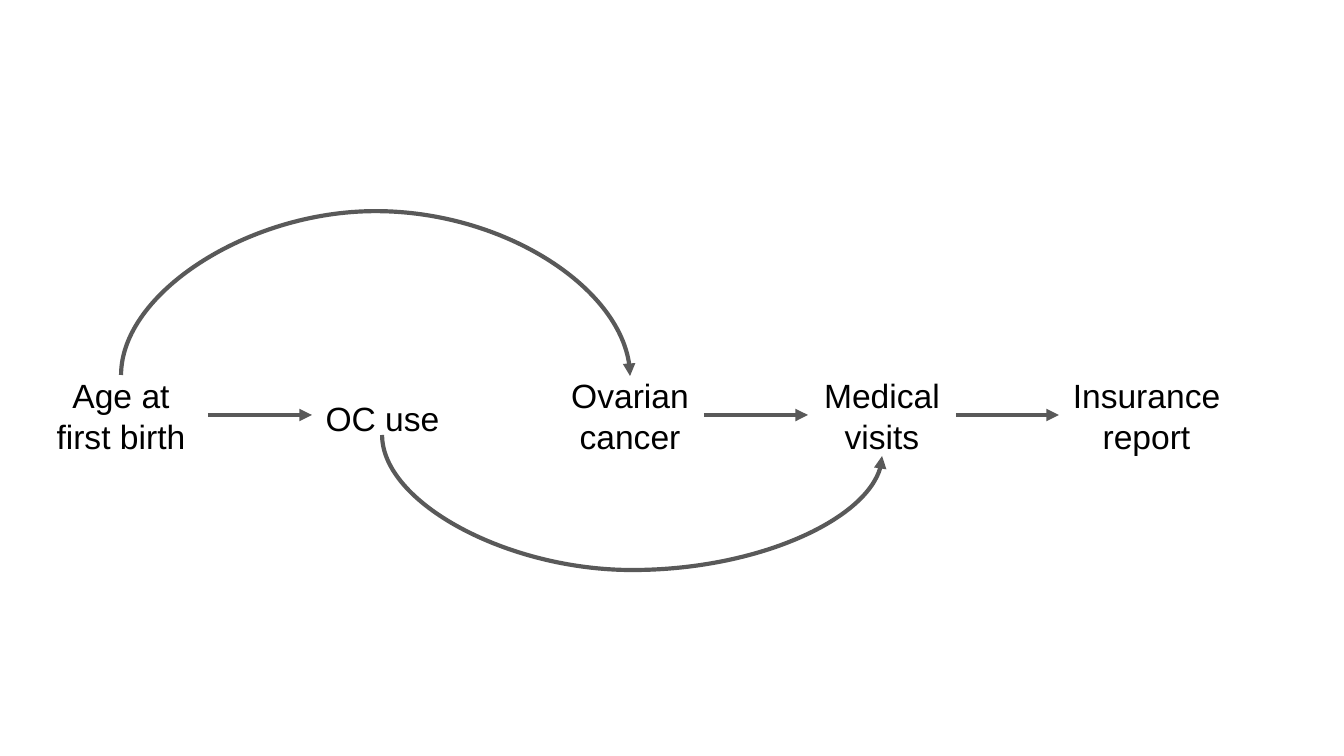
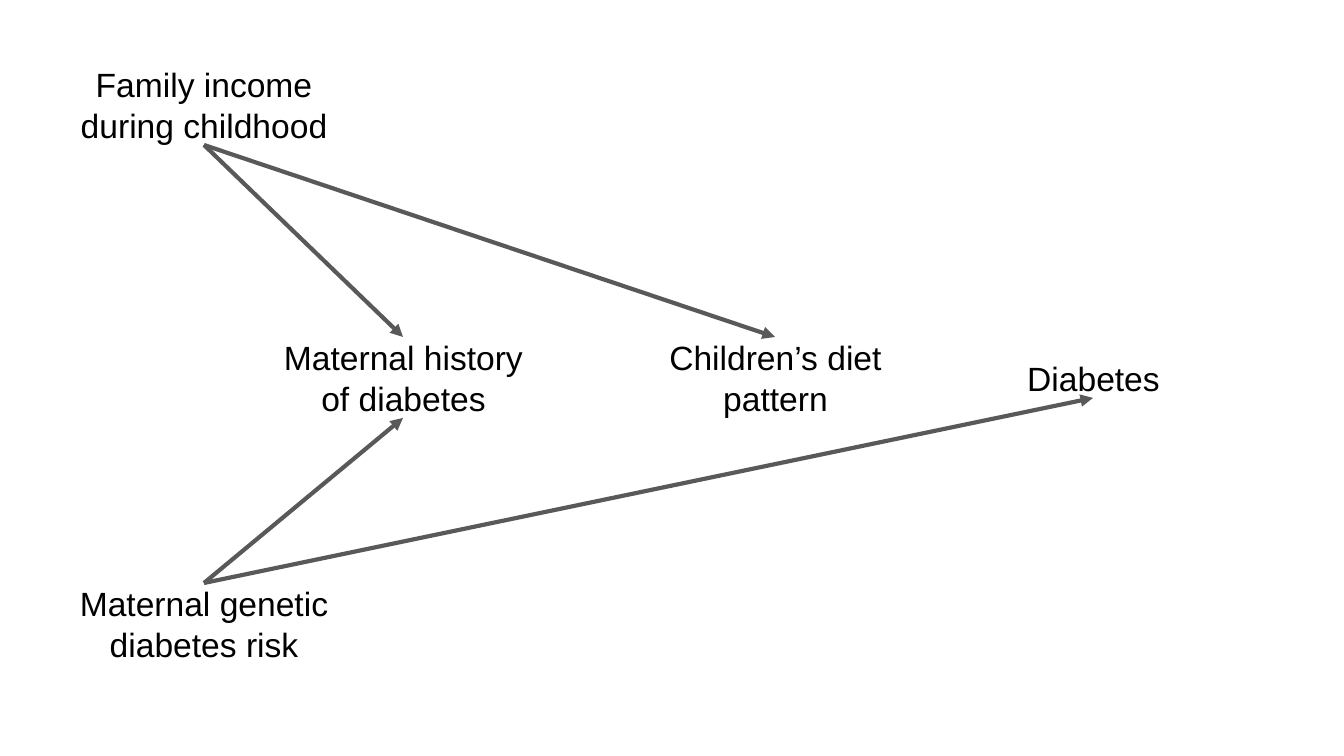
"""Build two causal diagrams of labels joined by arrows."""
from collections import namedtuple

from lxml.etree import SubElement
from pptx import Presentation
from pptx.dml.color import RGBColor
from pptx.enum.shapes import MSO_CONNECTOR
from pptx.enum.text import MSO_ANCHOR, PP_ALIGN
from pptx.oxml.ns import qn
from pptx.util import Emu, Pt

COLORS = {"text": "000000", "arrow": "595959"}
Sides = namedtuple("Sides", "left top right bottom")


def px(length):
    return Emu(round(length * 914400 / 134.4))


class Diagram:
    font = "Arial"
    font_size = Pt(18)
    line_width = Pt(2.25)
    inset = px(13)

    def __init__(self, deck):
        self.deck = deck
        self.page = None

    def new_page(self):
        self.page = self.deck.slides.add_slide(self.deck.slide_layouts[6])

    def label(self, text, left, top, width, height=81, spacing=None):
        box = self.page.shapes.add_textbox(px(left), px(top), px(width), px(height))
        frame = box.text_frame
        frame.word_wrap = True
        frame.vertical_anchor = MSO_ANCHOR.MIDDLE
        frame.margin_left = frame.margin_right = self.inset
        frame.margin_top = frame.margin_bottom = self.inset
        para = frame.paragraphs[0]
        para.alignment = PP_ALIGN.CENTER
        para.line_spacing = spacing
        span = para.add_run()
        span.text = text
        span.font.name = self.font
        span.font.size = self.font_size
        span.font.color.rgb = RGBColor.from_string(COLORS["text"])
        middle_x, middle_y = left + width // 2, top + height // 2
        return Sides((left, middle_y), (middle_x, top),
                     (left + width, middle_y), (middle_x, top + height))

    def connector(self, kind, start, end):
        line = self.page.shapes.add_connector(kind, *map(px, (*start, *end)))
        line.line.color.rgb = RGBColor.from_string(COLORS["arrow"])
        line.line.width = self.line_width
        SubElement(line.line._get_or_add_ln(), qn("a:tailEnd"), type="triangle")
        SubElement(line._element.spPr, qn("a:effectLst"))
        return line

    def arrow(self, start, end):
        self.connector(MSO_CONNECTOR.STRAIGHT, start, end)

    def arc(self, start, end, apex):
        span, drop = end[0] - start[0], max(1, end[1] - start[1])
        left = start[0] + (span - drop) / 2
        top = start[1] + (drop - span) / 2
        line = self.connector(MSO_CONNECTOR.CURVE, (left, top), (left + drop, top + span))
        properties = line._element.spPr
        transform = properties.find(qn("a:xfrm"))
        transform.set("rot", "16200000")
        transform.set("flipH", "1")
        geometry = properties.find(qn("a:prstGeom"))
        guides = geometry.find(qn("a:avLst"))
        if guides is None:
            guides = SubElement(geometry, qn("a:avLst"))
        bend = round((apex - start[1]) / drop * 100000)
        SubElement(guides, qn("a:gd"), name="adj1", fmla=f"val {bend}")


def contraceptive_page(diagram):
    diagram.new_page()
    row = 375
    age = diagram.label("Age at first birth", 34, row, 174)
    contraceptive = diagram.label("OC use", 312, row + 20, 141, 40, 1.15)
    cancer = diagram.label("Ovarian cancer", 556, row, 148)
    visits = diagram.label("Medical visits", 808, row, 148)
    report = diagram.label("Insurance report", 1059, row, 175)
    for source, target in ((age, contraceptive), (cancer, visits), (visits, report)):
        diagram.arrow(source.right, target.left)
    diagram.arc(age.top, cancer.top, 212)
    diagram.arc(contraceptive.bottom, visits.bottom, 570)


def diabetes_page(diagram):
    diagram.new_page()
    row, column, step = 337, 269, 372
    income = diagram.label("Family income during childhood", 63, 64, 282)
    genetics = diagram.label("Maternal genetic diabetes risk", 63, 583, 282)
    history = diagram.label("Maternal history of diabetes", column, row, 269)
    diet = diagram.label("Children’s diet pattern", column + step, row, 269)
    diabetes = diagram.label("Diabetes", column + 2 * step, row + 21, 161, 40)
    diagram.arrow(genetics.top, history.bottom)
    diagram.arrow(income.bottom, history.top)
    diagram.arrow(income.bottom, diet.top)
    diagram.arrow(genetics.top, diabetes.bottom)


deck = Presentation()
deck.slide_width, deck.slide_height = px(1344), px(756)
diagram = Diagram(deck)
contraceptive_page(diagram)
diabetes_page(diagram)
deck.save("out.pptx")
